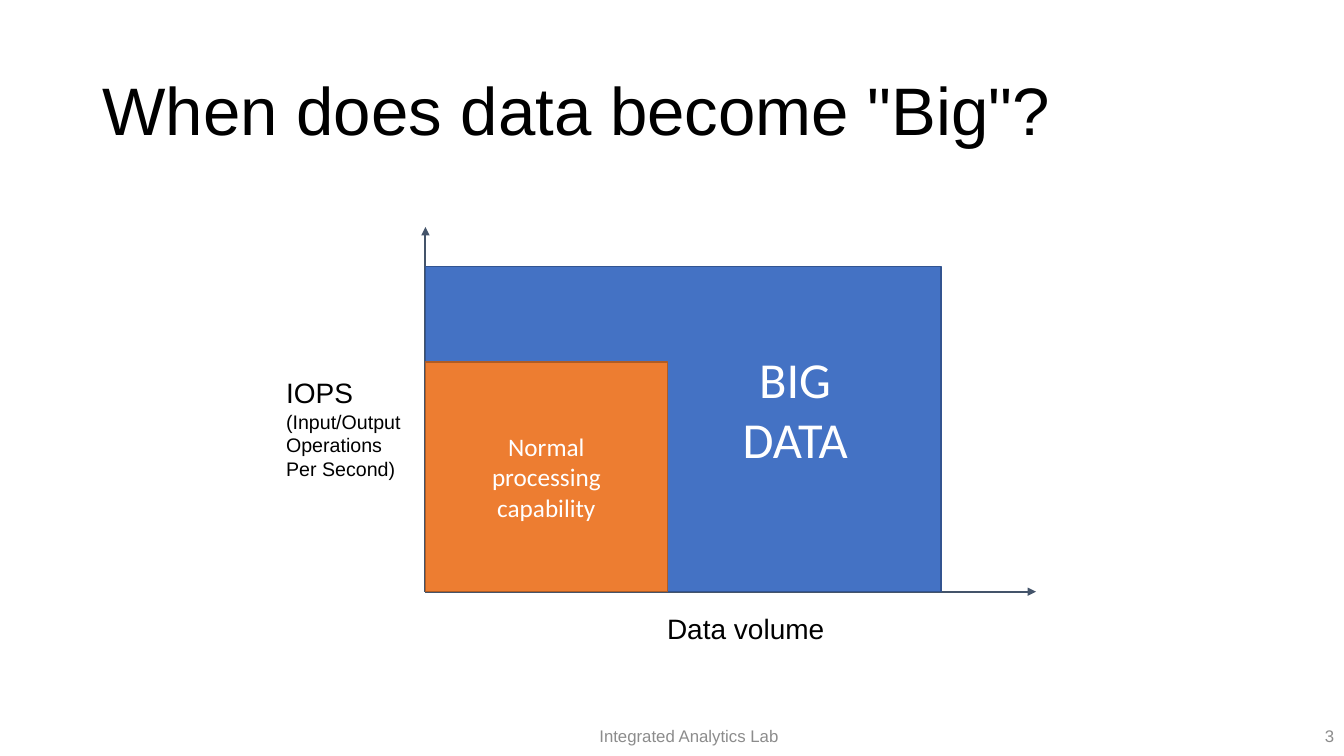
from lxml.etree import SubElement
from pptx import Presentation
from pptx.dml.color import RGBColor
from pptx.enum.shapes import MSO_CONNECTOR as Connector, MSO_SHAPE as Shape
from pptx.enum.text import MSO_ANCHOR as Anchor, PP_ALIGN as Align
from pptx.oxml.ns import qn
from pptx.util import Cm, Pt

# Diagram origin, in centimetres
ORIGIN_X, ORIGIN_Y = 10.72, 14.91


def color(hex_value):
    return RGBColor.from_string(hex_value)


def format_paragraph(paragraph, size, font="Arial", hex_color="000000", align=Align.LEFT):
    paragraph.alignment = align
    for run in paragraph.runs:
        run.font.size = Pt(size)
        run.font.name = font
        run.font.color.rgb = color(hex_color)
    # Line breaks take the size of the text around them
    for line_break in paragraph._p.findall(qn("a:br")):
        SubElement(line_break, qn("a:rPr"), sz=str(size * 100))


def add_label(slide, left, top, width, height, text, sizes, anchor=Anchor.TOP,
              wrap=False, **style):
    """Add a text box; sizes holds one text size per paragraph."""
    label = slide.shapes.add_textbox(Cm(left), Cm(top), Cm(width), Cm(height))
    text_frame = label.text_frame
    text_frame.word_wrap = wrap
    text_frame.vertical_anchor = anchor
    text_frame.text = text
    for paragraph, size in zip(text_frame.paragraphs, sizes):
        format_paragraph(paragraph, size, **style)


def add_axis(slide, end_x, end_y):
    axis = slide.shapes.add_connector(
        Connector.STRAIGHT, Cm(ORIGIN_X), Cm(ORIGIN_Y), Cm(end_x), Cm(end_y))
    axis.line.color.rgb = color("44546A")
    axis.line.width = Pt(1.5)
    SubElement(axis.line._get_or_add_ln(), qn("a:tailEnd"), type="triangle")
    SubElement(axis._element.spPr, qn("a:effectLst"))


def add_area(slide, width, height, fill, outline, text=""):
    """Add a rectangle that stands on the diagram origin."""
    area = slide.shapes.add_shape(
        Shape.RECTANGLE, Cm(ORIGIN_X), Cm(ORIGIN_Y - height), Cm(width), Cm(height))
    area.shadow.inherit = False
    area.fill.solid()
    area.fill.fore_color.rgb = color(fill)
    area.line.color.rgb = color(outline)
    area.line.width = Pt(1)
    area.text_frame.text = text
    area.text_frame.vertical_anchor = Anchor.MIDDLE
    for paragraph in area.text_frame.paragraphs:
        format_paragraph(paragraph, 18, "Calibri", "FFFFFF", Align.CENTER)


def set_title(slide, text):
    title = slide.shapes.title
    title.left, title.top, title.width, title.height = Cm(2.33), Cm(1.02), Cm(29.21), Cm(3.68)
    title.text_frame.text = text
    title.text_frame.vertical_anchor = Anchor.MIDDLE
    paragraph = title.text_frame.paragraphs[0]
    paragraph.line_spacing = 0.9
    format_paragraph(paragraph, 48)


def main():
    presentation = Presentation()
    presentation.slide_width, presentation.slide_height = Cm(33.87), Cm(19.05)
    slide = presentation.slides.add_slide(presentation.slide_layouts[5])

    # Title and footer
    set_title(slide, 'When does data become "Big"?')
    footer = {"sizes": [12], "anchor": Anchor.MIDDLE, "wrap": True, "hex_color": "8C8C8C"}
    add_label(slide, 13.72, 18.03, 7.29, 1.02, "Integrated Analytics Lab",
              align=Align.CENTER, **footer)
    add_label(slide, 26.25, 18.03, 7.62, 1.02, "3", align=Align.RIGHT, **footer)

    # Axes and areas
    add_axis(slide, 26.11, ORIGIN_Y)
    add_axis(slide, ORIGIN_X, 5.72)
    add_area(slide, 13, 8.2, "4472C4", "325491")
    add_area(slide, 6.1, 5.79, "ED7D31", "AF5C24", "Normal\nprocessing\ncapability")

    # Labels
    add_label(slide, 6.96, 9.35, 3.56, 2.9,
              "IOPS\n(Input/Output\vOperations\vPer Second)", [20, 14])
    add_label(slide, 18.44, 8.64, 3.2, 3.33, "BIG\nDATA", [36, 36],
              font="Calibri", hex_color="FFFFFF", align=Align.CENTER)
    add_label(slide, 16.56, 15.29, 4.52, 1.12, "Data volume", [20])

    presentation.save("out.pptx")


if __name__ == "__main__":
    main()
